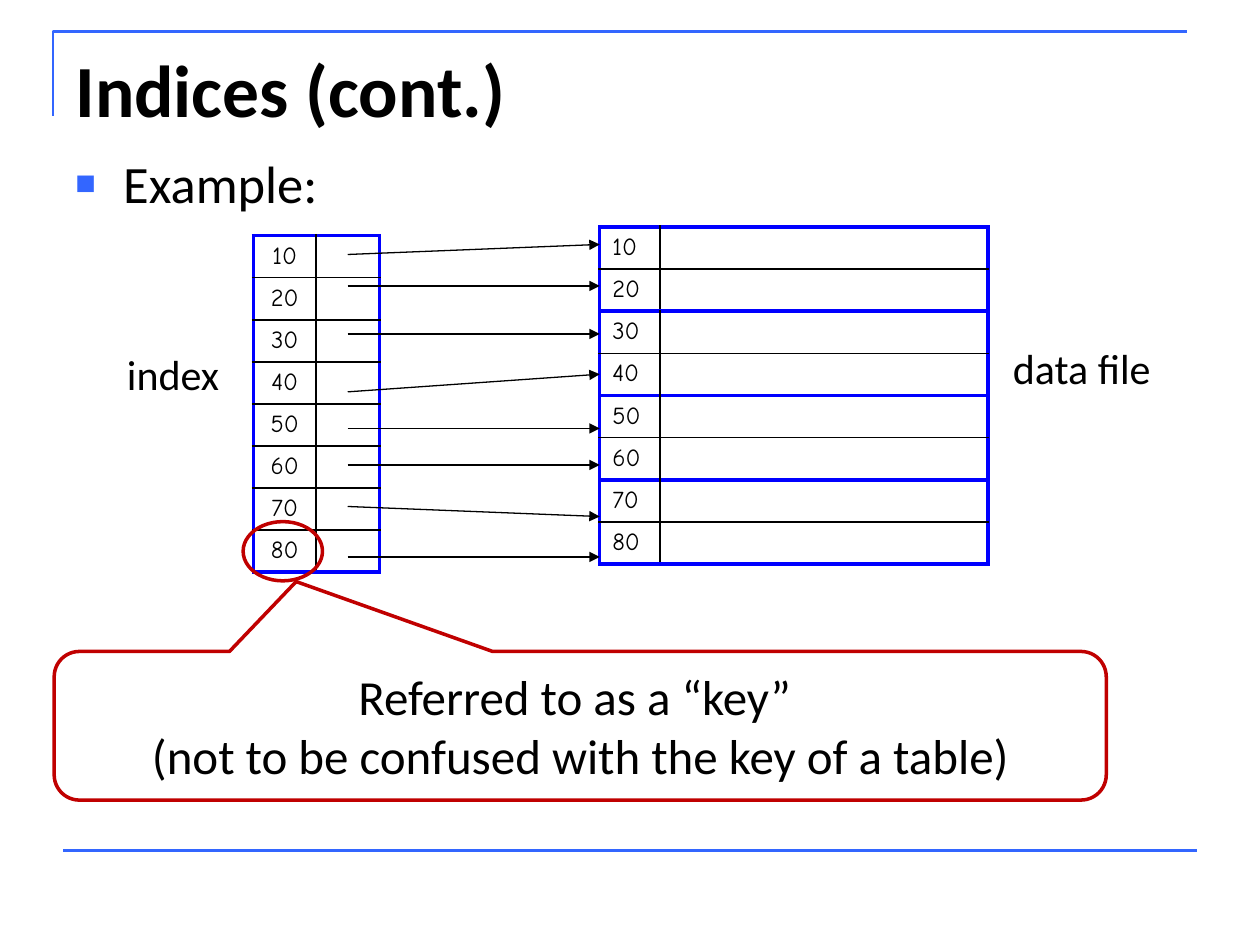
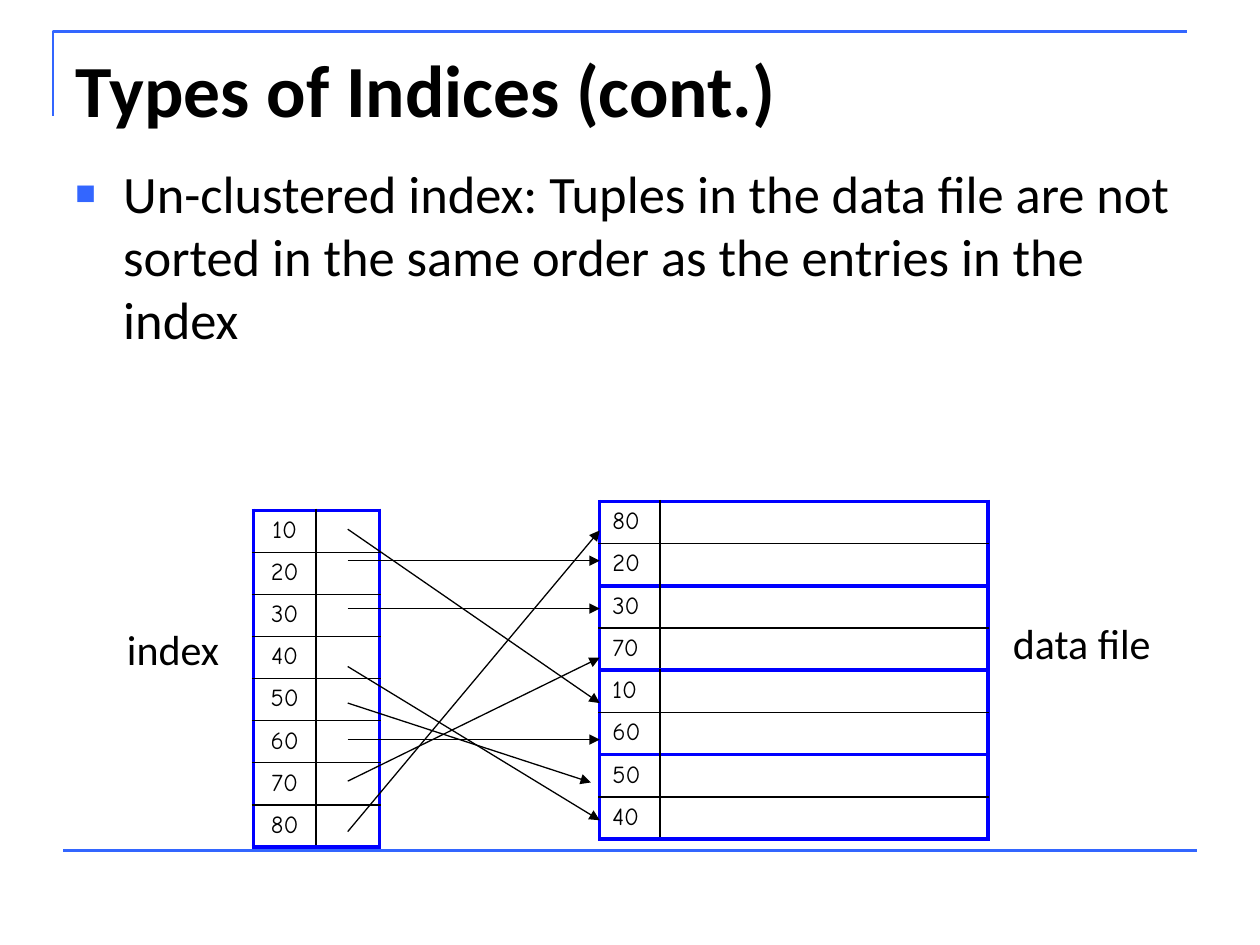
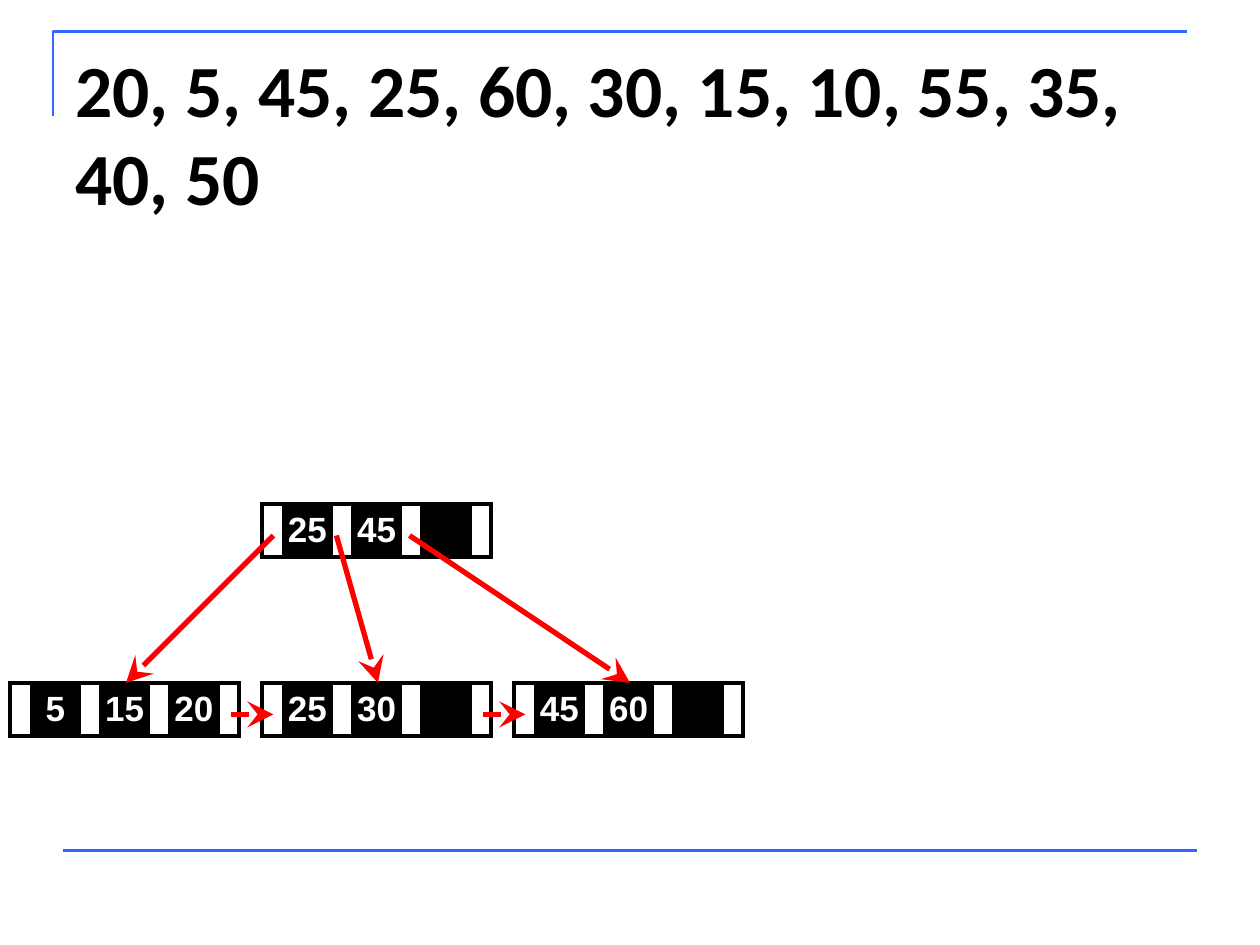
from lxml import etree
from pptx import Presentation
from pptx.dml.color import RGBColor
from pptx.enum import shapes, text
from pptx.oxml import ns
from pptx.util import Inches, Pt

BLACK = RGBColor(0x00, 0x00, 0x00)
WHITE = RGBColor(0xFF, 0xFF, 0xFF)
FRAME_BLUE = RGBColor(0x33, 0x66, 0xFF)
TABLE_BLUE = RGBColor(0x00, 0x00, 0xFF)
KEY_RED = RGBColor(0xC0, 0x00, 0x00)
POINTER_RED = RGBColor(0xFF, 0x00, 0x00)

THIN = (BLACK, 1)
OUTER = (TABLE_BLUE, 2.25)
HEAVY = (BLACK, 2.25)

INDEX_LEFT, DATA_LEFT = 2.01, 4.76
ROW_HEIGHT = 0.32
ARROW_LEFT = 2.76
ARROW_STARTS = [0.15, 0.4, 0.78, 1.24, 1.53, 1.82, 2.15, 2.55]

NODE_COLUMNS = [0.17, 0.38] * 3 + [0.17]
NODE_HEIGHT = 0.42
LEAF_TOP, ROOT_TOP = 5.42, 4


def add_xml(parent, tag, **attributes):
    return etree.SubElement(parent, ns.qn(tag), attributes)


class Deck:
    """Holds the shared style and the current slide."""

    body_font, key_font, node_font = "Calibri", "Comic Neue", "Arial"

    def __init__(self):
        self.presentation = Presentation()
        self.presentation.slide_width = Inches(10)
        self.presentation.slide_height = Inches(7.5)
        self.slide = None

    # Slide with title and frame lines
    def new_slide(self, title):
        layout = self.presentation.slide_layouts[5]
        self.slide = self.presentation.slides.add_slide(layout)
        placeholder = self.slide.shapes.title
        placeholder.left, placeholder.top = Inches(0.5), Inches(0.3)
        placeholder.width, placeholder.height = Inches(9), Inches(1.25)
        frame = placeholder.text_frame
        frame.word_wrap = True
        frame.auto_size = text.MSO_AUTO_SIZE.NONE
        frame.vertical_anchor = text.MSO_ANCHOR.TOP
        paragraph = frame.paragraphs[0]
        paragraph.alignment = text.PP_ALIGN.LEFT
        self.run(paragraph, title, 42, bold=True)

        builder = self.slide.shapes.build_freeform(Inches(0.42), Inches(0.92))
        corner = [(Inches(0.42), Inches(0.25)), (Inches(9.42), Inches(0.25))]
        builder.add_line_segments(corner, close=False)
        self.outline(builder.convert_to_shape(), FRAME_BLUE, 1.5)
        self.line((0.5, 6.75), (9.5, 6.75), FRAME_BLUE, 1.5)

    def run(self, paragraph, words, size, font=None, color=BLACK, bold=False):
        run = paragraph.add_run()
        run.text = words
        run.font.name = font or self.body_font
        run.font.size = Pt(size)
        run.font.bold = bold
        run.font.color.rgb = color

    def outline(self, shape, color, width):
        shape.shadow.inherit = False
        shape.fill.background()
        shape.line.color.rgb = color
        shape.line.width = Pt(width)

    def line(self, start, end, color, width, head=None, head_size="med"):
        points = [Inches(value) for value in (*start, *end)]
        connector = self.slide.shapes.add_connector(
            shapes.MSO_CONNECTOR.STRAIGHT, *points)
        connector.line.color.rgb = color
        connector.line.width = Pt(width)
        if head:
            add_xml(connector.line._get_or_add_ln(), "a:tailEnd",
                    type=head, w=head_size, len=head_size)
        add_xml(connector._element.spPr, "a:effectLst")

    def text_box(self, left, top, width, height, wrap=True):
        box = self.slide.shapes.add_textbox(
            Inches(left), Inches(top), Inches(width), Inches(height))
        box.text_frame.word_wrap = wrap
        return box.text_frame.paragraphs[0]

    def label(self, words, left, top, width):
        self.run(self.text_box(left, top, width, 0.5, wrap=False), words, 24)

    def bullet(self, words, top, height):
        paragraph = self.text_box(0.5, top, 9, height)
        properties = paragraph._p.get_or_add_pPr()
        properties.set("marL", str(Inches(0.38)))
        properties.set("indent", str(-Inches(0.38)))
        color = add_xml(properties, "a:buClr")
        add_xml(color, "a:srgbClr", val=str(FRAME_BLUE))
        add_xml(properties, "a:buSzPct", val="65000")
        add_xml(properties, "a:buFont", typeface="Arial")
        add_xml(properties, "a:buChar", char="■")
        self.run(paragraph, words, 30)

    def shape(self, kind, left, top, width, height, color):
        shape = self.slide.shapes.add_shape(
            kind, Inches(left), Inches(top), Inches(width), Inches(height))
        self.outline(shape, color, 2)
        return shape

    # Tables
    def table(self, left, top, columns, row_height, row_count):
        frame = self.slide.shapes.add_table(
            row_count, len(columns), Inches(left), Inches(top),
            Inches(sum(columns)), Inches(row_height * row_count))
        table = frame.table
        table.first_row = table.horz_banding = False
        for column, width in zip(table.columns, columns):
            column.width = Inches(width)
        for row in table.rows:
            row.height = Inches(row_height)
        return table

    def cell(self, cell, words, size, font, color, borders, align):
        paragraph = cell.text_frame.paragraphs[0]
        paragraph.alignment = align
        if words:
            self.run(paragraph, words, size, font, color, color == WHITE)
        else:
            add_xml(paragraph._p, "a:endParaRPr", sz=str(size * 100))
        properties = cell._tc.get_or_add_tcPr()
        sides = ("a:lnL", "a:lnR", "a:lnT", "a:lnB")
        for position, (side, border) in enumerate(zip(sides, borders)):
            border_color, width = border
            line = etree.Element(ns.qn(side), w=str(Pt(width)))
            fill = add_xml(line, "a:solidFill")
            add_xml(fill, "a:srgbClr", val=str(border_color))
            properties.insert(position, line)

    def key_table(self, left, top, columns, keys, align):
        table = self.table(left, top, columns, ROW_HEIGHT, len(keys))
        last = len(keys) - 1
        for row, key in enumerate(keys):
            for column, words in enumerate((key, "")):
                cell = table.cell(row, column)
                cell.fill.background()
                at_edges = (column == 0, column == 1, row == 0, row == last)
                borders = [OUTER if edge else THIN for edge in at_edges]
                self.cell(cell, words, 14 if words else 10, self.key_font,
                          BLACK, borders, align)

    def tree_node(self, left, top, keys):
        table = self.table(left, top, NODE_COLUMNS, NODE_HEIGHT, 1)
        for column in range(len(NODE_COLUMNS)):
            cell = table.cell(0, column)
            slot, is_key = divmod(column, 2)
            if is_key:
                cell.fill.solid()
                cell.fill.fore_color.rgb = BLACK
            else:
                cell.fill.background()
            cell.margin_left = cell.margin_right = 0
            cell.margin_top = cell.margin_bottom = 0
            cell.vertical_anchor = text.MSO_ANCHOR.MIDDLE
            words = keys[slot] if is_key and slot < len(keys) else ""
            self.cell(cell, words, 20, self.node_font, WHITE,
                      [HEAVY] * 4, text.PP_ALIGN.CENTER)

    def pointer(self, start, end):
        self.line(start, end, POINTER_RED, 3, "stealth", "lg")

    # Index, data file blocks and the arrows between them
    def index_diagram(self, top, data_keys, targets):
        index_keys = [str(key) for key in range(10, 90, 10)]
        self.key_table(INDEX_LEFT, top, [0.5, 0.5], index_keys,
                       text.PP_ALIGN.CENTER)
        for block in range(4):
            self.key_table(DATA_LEFT, top - 0.07 + 0.67 * block, [0.48, 2.6],
                           data_keys[2 * block:2 * block + 2],
                           text.PP_ALIGN.LEFT)
        for start, (target_left, target) in zip(ARROW_STARTS, targets):
            self.line((ARROW_LEFT, top + start), (target_left, top + target),
                      BLACK, 0.75, "triangle")
        self.label("index", 0.91, top + 0.85, 0.94)
        self.label("data file", 7.94, top + 0.8, 1.31)


def indices_slide(deck):
    deck.new_slide("Indices (cont.)")
    deck.bullet("Example:", 1.15, 2.94)
    targets = [0.07, 0.4, 0.78, 1.1, 1.53, 1.82, 2.23, 2.55]
    deck.index_diagram(1.87, ["10", "20", "30", "40", "50", "60", "70", "80"],
                       [(DATA_LEFT, target) for target in targets])

    # Key marker and its callout
    deck.shape(shapes.MSO_SHAPE.OVAL, 1.93, 4.14, 0.63, 0.47, KEY_RED)
    callout = deck.shape(shapes.MSO_SHAPE.ROUNDED_RECTANGULAR_CALLOUT,
                         0.43, 5.17, 8.35, 1.18, KEY_RED)
    for position, value in enumerate((-0.27, -0.97, 0.17)):
        callout.adjustments[position] = value
    frame = callout.text_frame
    frame.word_wrap = True
    frame.vertical_anchor = text.MSO_ANCHOR.MIDDLE
    paragraph = frame.paragraphs[0]
    paragraph.alignment = text.PP_ALIGN.CENTER
    deck.run(paragraph, "Referred to as a “key” ", 28)
    paragraph.add_line_break()
    deck.run(paragraph, "(not to be confused with the key of a table)", 28)


def unclustered_slide(deck):
    deck.new_slide("Types of Indices (cont.)")
    deck.bullet("Un-clustered index: Tuples in the data file are not sorted "
                "in the same order as the entries in the index", 1.23, 2.76)
    targets = [(DATA_LEFT, 1.53), (DATA_LEFT, 0.4), (DATA_LEFT, 0.78),
               (DATA_LEFT, 2.46), (4.69, 2.16), (DATA_LEFT, 1.82),
               (DATA_LEFT, 1.17), (DATA_LEFT, 0.16)]
    deck.index_diagram(4.05, ["80", "20", "30", "70", "10", "60", "50", "40"],
                       targets)


def tree_slide(deck):
    deck.new_slide("20, 5, 45, 25, 60, 30, 15, 10, 55, 35, 40, 50")
    leaves = [["5", "15", "20"], ["25", "30"], ["45", "60"]]
    deck.tree_node(2.08, ROOT_TOP, ["25", "45"])
    for position, keys in enumerate(leaves):
        deck.tree_node(0.08 + 2 * position, LEAF_TOP, keys)

    # Root to leaves, then leaf to leaf
    for position, start in enumerate((2.17, 2.67, 3.25)):
        deck.pointer((start, ROOT_TOP + 0.25), (1 + 2 * position, LEAF_TOP))
    for start in (1.83, 3.83):
        deck.pointer((start, LEAF_TOP + 0.25), (start + 0.34, LEAF_TOP + 0.25))


def main():
    deck = Deck()
    indices_slide(deck)
    unclustered_slide(deck)
    tree_slide(deck)
    deck.presentation.save("out.pptx")


if __name__ == "__main__":
    main()
